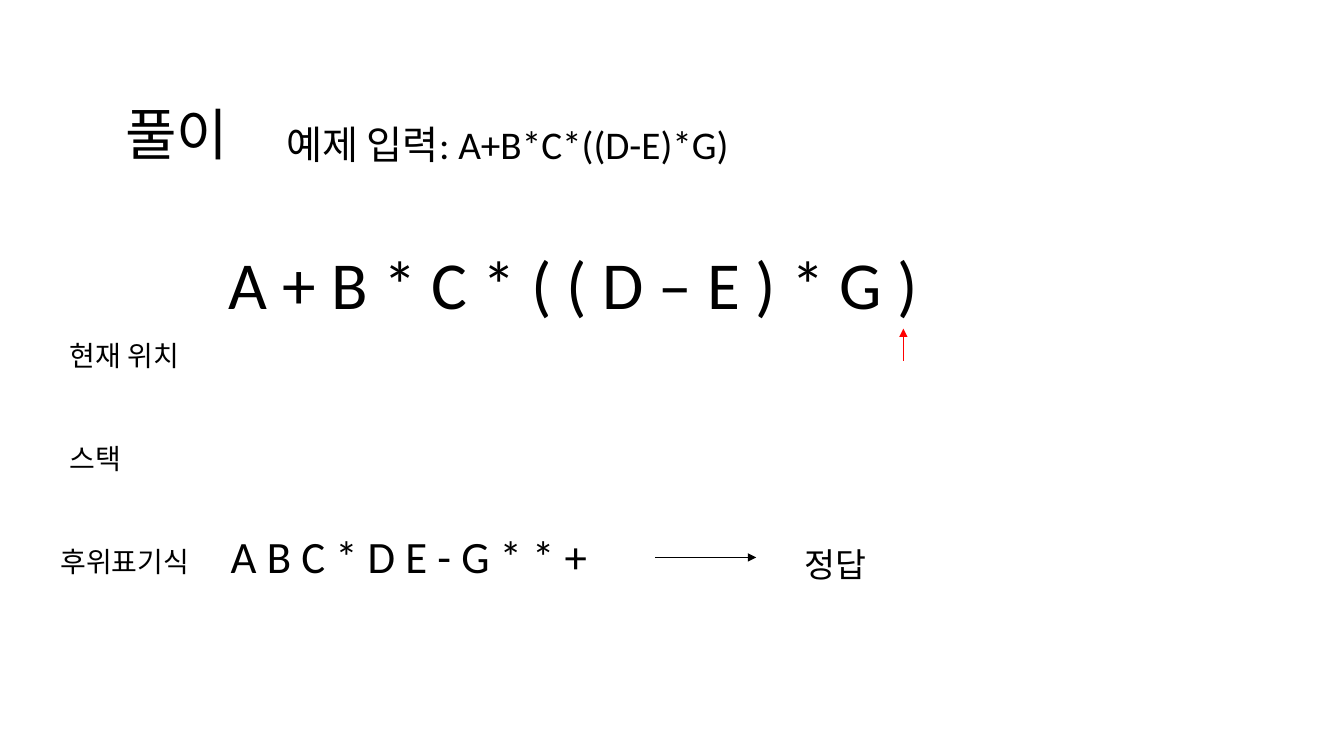
import pptx
import pptx.util
import pptx.dml.color
import pptx.enum.shapes
import pptx.enum.text
import pptx.oxml.ns
import lxml.etree

Inches = pptx.util.Inches


def color(code):
    return pptx.dml.color.RGBColor.from_string(code)


class Page:
    """Holds the style and the current slide."""
    font = "Calibri"
    ink = "000000"
    accent = "FF0000"

    def __init__(self, deck):
        self.slide = deck.slides.add_slide(deck.slide_layouts[5])

    def fill(self, box, text, size, space=None):
        frame = box.text_frame
        frame.text = text
        frame.word_wrap = True
        frame.auto_size = pptx.enum.text.MSO_AUTO_SIZE.SHAPE_TO_FIT_TEXT
        frame.vertical_anchor = pptx.enum.text.MSO_ANCHOR.TOP
        par = frame.paragraphs[0]
        par.alignment = pptx.enum.text.PP_ALIGN.LEFT
        if space:
            par.line_spacing = space
        par.font.name = self.font
        par.font.size = pptx.util.Pt(size)
        par.font.color.rgb = color(self.ink)

    def title(self, text, left, top, width, height, size):
        box = self.slide.shapes.title
        box.left, box.top = Inches(left), Inches(top)
        box.width, box.height = Inches(width), Inches(height)
        self.fill(box, text, size)

    def text(self, text, left, top, width, height, size, space=None):
        box = self.slide.shapes.add_textbox(
            Inches(left), Inches(top), Inches(width), Inches(height))
        self.fill(box, text, size, space)

    def arrow(self, start, end, code):
        line = self.slide.shapes.add_connector(
            pptx.enum.shapes.MSO_CONNECTOR.STRAIGHT,
            *(Inches(n) for n in start + end))
        line.line.color.rgb = color(code)
        line.line.width = pptx.util.Pt(0.5)
        qn = pptx.oxml.ns.qn
        props = line._element.spPr
        lxml.etree.SubElement(props.find(qn("a:ln")), qn("a:tailEnd"),
                              type="triangle")
        lxml.etree.SubElement(props, qn("a:effectLst"))


def main():
    deck = pptx.Presentation()
    deck.slide_width, deck.slide_height = Inches(13.33), Inches(7.5)
    page = Page(deck)

    # Heading and sample input
    page.title("풀이", 1.14, 0.94, 3.53, 0.77, 40)
    page.text("예제 입력: A+B*C*((D-E)*G)", 2.74, 1.14, 5.04, 0.57, 28)

    # Expression with the current position
    page.text("A + B * C * ( ( D – E ) * G )", 2.17, 2.35, 7.64, 0.91, 48)
    page.arrow((8.96, 3.58), (8.96, 3.26), page.accent)

    # Row labels
    labels = [("현재 위치", 0.59, 1.42), ("스택", 0.59, 1.42),
              ("후위표기식", 0.5, 1.61)]
    for row, (label, left, width) in enumerate(labels):
        page.text(label, left, 3.31 + 1.02 * row, width, 0.44, 20)

    # Postfix result and answer
    page.text("A B C * D E - G * * +", 2.19, 5.2, 3.78, 0.64, 32)
    page.arrow((6.5, 5.53), (7.5, 5.53), page.ink)
    page.text("정답", 7.88, 5.15, 1.4, 0.64, 24, 1.5)

    deck.save("out.pptx")


if __name__ == "__main__":
    main()
